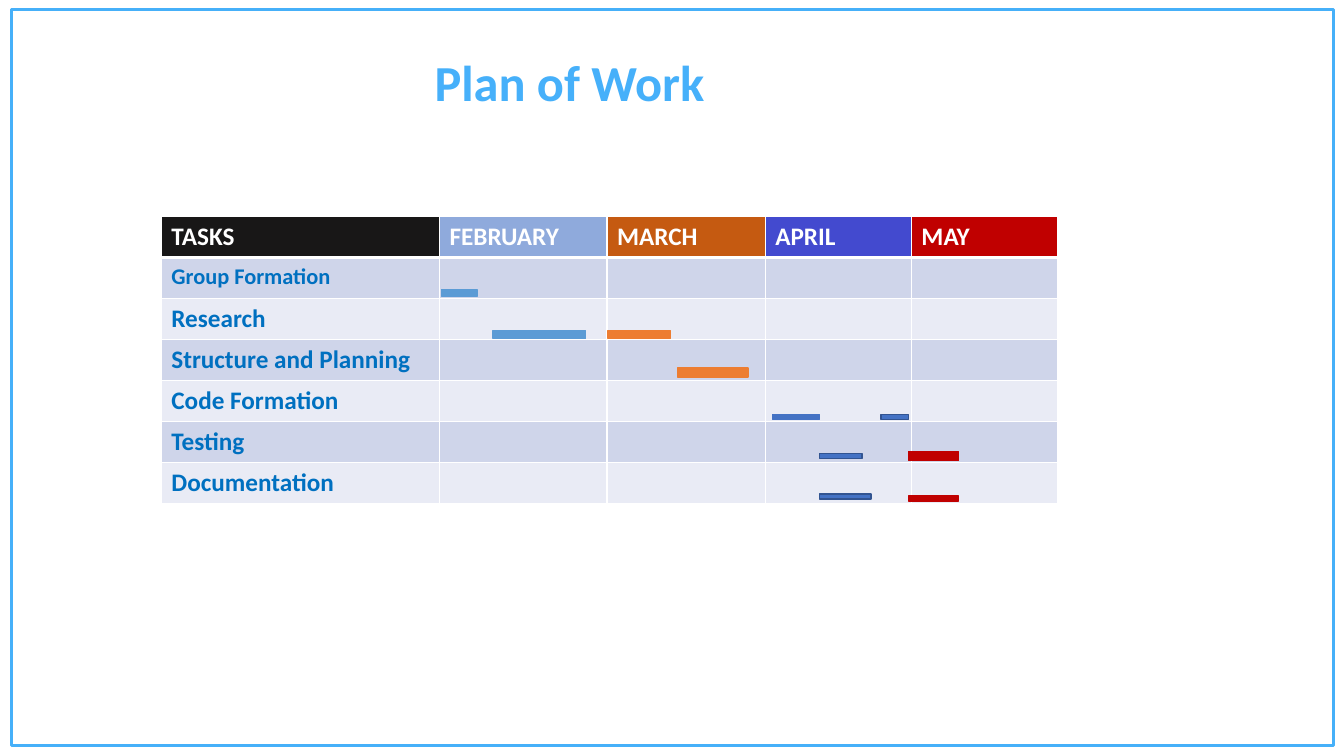
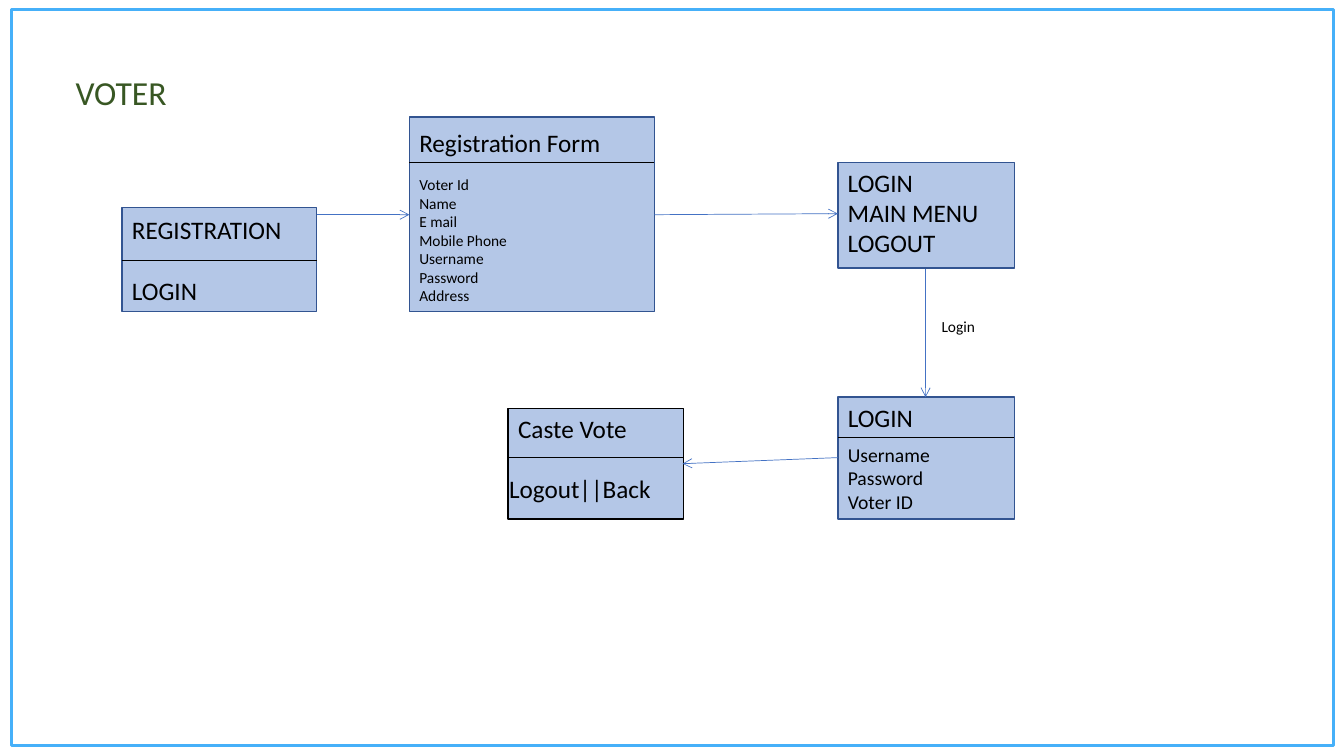
from lxml import etree
from pptx import Presentation
from pptx.dml.color import RGBColor
from pptx.enum.shapes import MSO_CONNECTOR, MSO_SHAPE
from pptx.enum.text import MSO_ANCHOR, MSO_AUTO_SIZE, PP_ALIGN
from pptx.oxml import parse_xml
from pptx.oxml.ns import nsdecls, qn
from pptx.util import Inches, Pt

# Shared style
FONT = "Calibri"
BLACK, WHITE = "000000", "FFFFFF"
FRAME, TITLE, GREEN = "46B0F9", "46B0FA", "385723"
BOX_FILL, BOX_LINE, ARROW = "B4C7E7", "325491", "4472C4"
TASK_TEXT, BANDS = "0070C0", ("CFD5EA", "E9EBF5")
LIGHT_BLUE, ORANGE, BLUE, RED = "5B9BD5", "ED7D31", "4472C4", "C00000"

# Plan of work: header cells, tasks and bars (left, top, width, height, fill, line)
COLUMNS = [("TASKS", 2.76, "181717"), ("FEBRUARY", 1.66, "8FAADC"),
           ("MARCH", 1.57, "C55A11"), ("APRIL", 1.45, "434ACF"),
           ("MAY", 1.45, RED)]
TASKS = [("Group Formation", 16), ("Research", 18),
         ("Structure and Planning", 18), ("Code Formation", 18),
         ("Testing", 18), ("Documentation", 18)]
BARS = [(4.38, 2.87, 0.35, 0.07, LIGHT_BLUE, LIGHT_BLUE),
        (4.89, 3.28, 0.92, 0.08, LIGHT_BLUE, LIGHT_BLUE),
        (6.03, 3.28, 0.62, 0.08, ORANGE, ORANGE),
        (6.72, 3.65, 0.70, 0.09, ORANGE, ORANGE),
        (7.66, 4.11, 0.47, 0.05, BLUE, BLUE),
        (8.74, 4.11, 0.27, 0.05, BLUE, BOX_LINE),
        (8.13, 4.50, 0.42, 0.05, BLUE, BOX_LINE),
        (9.01, 4.48, 0.50, 0.09, RED, RED),
        (8.13, 4.90, 0.51, 0.05, BLUE, BOX_LINE),
        (9.01, 4.92, 0.50, 0.05, RED, RED)]


def rgb(color):
    return RGBColor.from_string(color)


def inches(values):
    return [Inches(v) for v in values]


def add_run(p, text, size, color, bold=False):
    r = p.add_run()
    r.text = text
    r.font.name, r.font.size, r.font.bold = FONT, Pt(size), bold
    r.font.color.rgb = rgb(color)


def add_title(s, text, at, size, color, bold=False):
    sp = s.shapes.title
    sp.left, sp.top, sp.width, sp.height = inches(at)
    tf = sp.text_frame
    tf.auto_size = MSO_AUTO_SIZE.NONE
    tf.vertical_anchor = MSO_ANCHOR.TOP
    p = tf.paragraphs[0]
    p.alignment = PP_ALIGN.LEFT
    add_run(p, text, size, color, bold)


def add_text(s, lines, at, size, gap=0):
    tf = s.shapes.add_textbox(*inches(at)).text_frame
    tf.word_wrap = True
    for i, line in enumerate(lines):
        p = tf.add_paragraph() if i else tf.paragraphs[0]
        p.space_before = Pt(gap if i else 0)
        add_run(p, line, size, BLACK)


def add_rect(s, at, fill, line, width=1):
    sp = s.shapes.add_shape(MSO_SHAPE.RECTANGLE, *inches(at))
    sp.shadow.inherit = False
    if fill:
        sp.fill.solid()
        sp.fill.fore_color.rgb = rgb(fill)
    else:
        sp.fill.background()
    sp.line.color.rgb = rgb(line)
    sp.line.width = Pt(width)
    return sp


def add_line(s, start, end, color=BLACK, arrow=False):
    cxn = s.shapes.add_connector(MSO_CONNECTOR.STRAIGHT, *inches(start + end))
    cxn.line.color.rgb = rgb(color)
    cxn.line.width = Pt(0.5)
    spPr = cxn.element.spPr
    if arrow:
        etree.SubElement(spPr.find(qn("a:ln")), qn("a:tailEnd"), type="arrow")
    etree.SubElement(spPr, qn("a:effectLst"))


def add_box(s, at, line=BOX_LINE, divider=None):
    """Diagram box, optionally split by a horizontal line at height divider."""
    add_rect(s, at, BOX_FILL, line)
    if divider:
        add_line(s, (at[0], divider), (at[0] + at[2], divider))


def style_cell(cell, fill, top=1, bottom=1):
    cell.fill.solid()
    cell.fill.fore_color.rgb = rgb(fill)
    tcPr = cell._tc.get_or_add_tcPr()
    for i, (side, width) in enumerate(
            [("L", 1), ("R", 1), ("T", top), ("B", bottom)]):
        tcPr.insert(i, parse_xml(
            f'<a:ln{side} {nsdecls("a")} w="{Pt(width)}"><a:solidFill>'
            f'<a:srgbClr val="{WHITE}"/></a:solidFill></a:ln{side}>'))


def add_schedule(s, at, row_height):
    rows = len(TASKS) + 1
    width = sum(w for _, w, _ in COLUMNS)
    table = s.shapes.add_table(rows, len(COLUMNS), *inches(
        (*at, width, rows * row_height))).table
    for row in table.rows:
        row.height = Inches(row_height)
    for c, (text, width, fill) in enumerate(COLUMNS):
        table.columns[c].width = Inches(width)
        cell = table.cell(0, c)
        style_cell(cell, fill, bottom=3)
        add_run(cell.text_frame.paragraphs[0], text, 18, WHITE, True)
    for i, (task, size) in enumerate(TASKS):
        for c in range(len(COLUMNS)):
            style_cell(table.cell(i + 1, c), BANDS[i % 2], top=1 if i else 3)
        p = table.cell(i + 1, 0).text_frame.paragraphs[0]
        add_run(p, task, size, TASK_TEXT, True)


def add_master_frame(prs, s):
    """Draw the border once and move it to the slide master."""
    frame = add_rect(s, (0.11, 0.09, 13.12, 7.31), None, FRAME, 2.25)
    frame.element.nvSpPr.cNvPr.set("id", "100")
    prs.slide_master.shapes.element.insert(2, frame.element)


def build_plan(s):
    add_title(s, "Plan of Work", (4.21, 0.46, 3.21, 0.71), 36, TITLE, True)
    add_schedule(s, (1.6, 2.15), 0.406)
    for *at, fill, line in BARS:
        add_rect(s, at, fill, line)


def build_voter(s):
    add_title(s, "VOTER", (0.65, 0.66, 1.32, 0.5), 24, GREEN)

    # Registration
    add_box(s, (1.21, 2.06, 1.93, 1.03), divider=2.58)
    add_text(s, ["REGISTRATION", "LOGIN"], (1.21, 2.08, 1.85, 1.01), 18, gap=22)
    add_box(s, (4.06, 1.16, 2.43, 1.93), divider=1.61)
    add_text(s, ["Registration Form"], (4.06, 1.21, 2.15, 0.4), 18)
    add_text(s, ["Voter Id", "Name", "E mail", "Mobile Phone", "Username",
                 "Password", "Address"], (4.06, 1.69, 1.29, 1.4), 11)

    # Menu and login
    add_box(s, (8.31, 1.61, 1.75, 1.05))
    add_text(s, ["LOGIN", "MAIN MENU", "LOGOUT"], (8.31, 1.61, 1.86, 1.01), 18)
    add_box(s, (8.31, 3.94, 1.75, 1.21), divider=4.34)
    add_text(s, ["LOGIN"], (8.31, 3.94, 1.15, 0.4), 18)
    add_text(s, ["Username", "Password", "Voter ID"],
             (8.31, 4.34, 1.95, 0.81), 14)
    add_text(s, ["Login"], (9.24, 3.1, 0.8, 0.29), 11)

    # Vote
    add_box(s, (5.04, 4.05, 1.74, 1.1), BLACK, divider=4.54)
    add_text(s, ["Caste Vote"], (5.04, 4.05, 1.53, 0.4), 18)
    add_text(s, ["Logout||Back"], (4.95, 4.65, 1.82, 0.4), 18)

    # Flow
    for start, end in [((3.14, 2.13), (4.06, 2.13)), ((6.49, 2.13), (8.31, 2.12)),
                       ((9.18, 2.67), (9.18, 3.94)), ((8.31, 4.54), (6.77, 4.6))]:
        add_line(s, start, end, ARROW, arrow=True)


def main():
    prs = Presentation()
    prs.slide_width, prs.slide_height = inches((13.33, 7.5))
    title_only = prs.slide_layouts[5]
    plan, voter = (prs.slides.add_slide(title_only) for _ in range(2))
    add_master_frame(prs, plan)
    build_plan(plan)
    build_voter(voter)
    prs.save("out.pptx")


if __name__ == "__main__":
    main()
